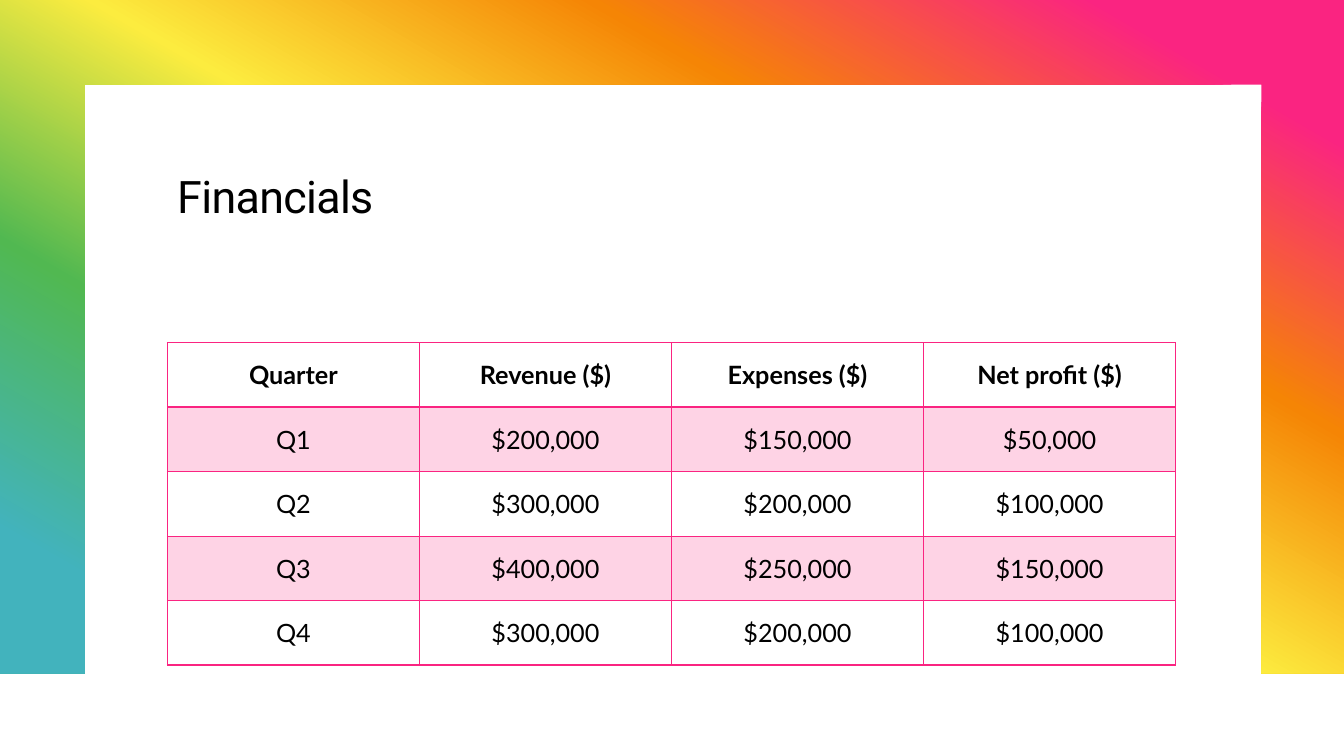
"""Build the quarterly financials slide with its rainbow frame and table."""
from dataclasses import dataclass

from lxml import etree
from pptx import Presentation
from pptx.dml.color import RGBColor
from pptx.enum import text
from pptx.oxml import ns
from pptx.util import Pt

PX = 9144
WIDTH, HEIGHT = 1333, 750
PINK = RGBColor(0xFA, 0x24, 0x81)
ORANGE = RGBColor(0xF5, 0x85, 0x05)
YELLOW = RGBColor(0xFC, 0xEC, 0x3F)
GREEN = RGBColor(0x51, 0xB8, 0x51)
TEAL = RGBColor(0x42, 0xB3, 0xBD)
BLACK = RGBColor(0x00, 0x00, 0x00)

ROWS = [
    ("Quarter", "Revenue ($)", "Expenses ($)", "Net profit ($)"),
    ("Q1", "$200,000", "$150,000", "$50,000"),
    ("Q2", "$300,000", "$200,000", "$100,000"),
    ("Q3", "$400,000", "$250,000", "$150,000"),
    ("Q4", "$300,000", "$200,000", "$100,000"),
]


@dataclass(frozen=True)
class Box:
    """A rectangle in px."""

    left: int
    top: int
    width: int
    height: int

    def emu(self) -> tuple[int, ...]:
        """Return the rectangle in EMU."""
        return tuple(n * PX for n in (self.left, self.top, self.width, self.height))


@dataclass(frozen=True)
class Stop:
    """A gradient colour at a percentage."""

    percent: int
    color: RGBColor


TITLE = Box(166, 166, 1000, 140)
TABLE = Box(166, 340, 1000, 320)
RAINBOW = [Stop(10, PINK), Stop(30, ORANGE), Stop(50, YELLOW), Stop(70, GREEN), Stop(90, TEAL)]


def add_element(parent, tag: str, **attributes: str):
    """Append a DrawingML element to the parent."""
    return etree.SubElement(parent, ns.qn(tag), attributes)


def add_color(parent, color: RGBColor):
    """Append an RGB colour element to the parent."""
    return add_element(parent, "a:srgbClr", val=str(color))


def add_frame(slide) -> None:
    """Draw the rainbow frame, open at the bottom."""
    margin, bottom = 84, 668
    inner_right = WIDTH - margin + 2
    builder = slide.shapes.build_freeform(0, 0, scale=PX)
    builder.add_line_segments([
        (WIDTH, 0), (WIDTH, bottom), (inner_right, bottom), (inner_right, margin),
        (margin, margin), (margin, bottom), (0, bottom),
    ])
    shape = builder.convert_to_shape()
    shape.shadow.inherit = False
    shape.line.fill.background()
    shape.fill.gradient()
    shape.fill.gradient_angle = 240
    stops = shape.element.spPr.find(".//" + ns.qn("a:gsLst"))
    for old_stop in list(stops):
        stops.remove(old_stop)
    for stop in RAINBOW:
        add_color(add_element(stops, "a:gs", pos=str(stop.percent * 1000)), stop.color)


def style_font(paragraph, name: str, size: int, bold: bool = False) -> None:
    """Set the font of a whole paragraph."""
    font = paragraph.font
    font.name, font.size, font.bold = name, Pt(size), bold
    font.color.rgb = BLACK


def add_title(slide) -> None:
    """Write the slide title."""
    frame = slide.shapes.add_textbox(*TITLE.emu()).text_frame
    frame.word_wrap = True
    paragraph = frame.paragraphs[0]
    paragraph.line_spacing = 0.95
    style_font(paragraph, "Roboto", 32)
    run = paragraph.add_run()
    run.text = "Financials"
    run.font._element.set("spc", "-50")


def add_border(properties, side: str, points: int) -> None:
    """Draw one pink side of a table cell."""
    line = add_element(properties, f"a:ln{side}", w=str(Pt(points)))
    add_color(add_element(line, "a:solidFill"), PINK)


def style_cell(cell, value: str, row: int) -> None:
    """Fill in one table cell, with odd rows tinted pink."""
    cell.text = value
    cell.vertical_anchor = text.MSO_ANCHOR.MIDDLE
    paragraph = cell.text_frame.paragraphs[0]
    paragraph.alignment = text.PP_ALIGN.CENTER
    style_font(paragraph, "Lato", 18, bold=row == 0)
    properties = cell._tc.get_or_add_tcPr()
    widths = {"L": 1, "R": 1, "T": 2 if row == 1 else 1, "B": 2 if row in (0, len(ROWS) - 1) else 1}
    for side, points in widths.items():
        add_border(properties, side, points)
    if row % 2:
        cell.fill.solid()
        cell.fill.fore_color.rgb = PINK
        color = properties.find(ns.qn("a:solidFill")).find(ns.qn("a:srgbClr"))
        add_element(color, "a:alpha", val="20000")
    else:
        cell.fill.background()


def add_financials(slide) -> None:
    """Draw the table of quarterly figures."""
    table = slide.shapes.add_table(len(ROWS), len(ROWS[0]), *TABLE.emu()).table
    table.first_row = table.horz_banding = False
    for row, values in enumerate(ROWS):
        for column, value in enumerate(values):
            style_cell(table.cell(row, column), value, row)


def main() -> None:
    """Build and save the presentation."""
    presentation = Presentation()
    presentation.slide_width, presentation.slide_height = WIDTH * PX, HEIGHT * PX
    slide = presentation.slides.add_slide(presentation.slide_layouts[6])
    add_frame(slide)
    add_title(slide)
    add_financials(slide)
    presentation.save("out.pptx")


if __name__ == "__main__":
    main()
